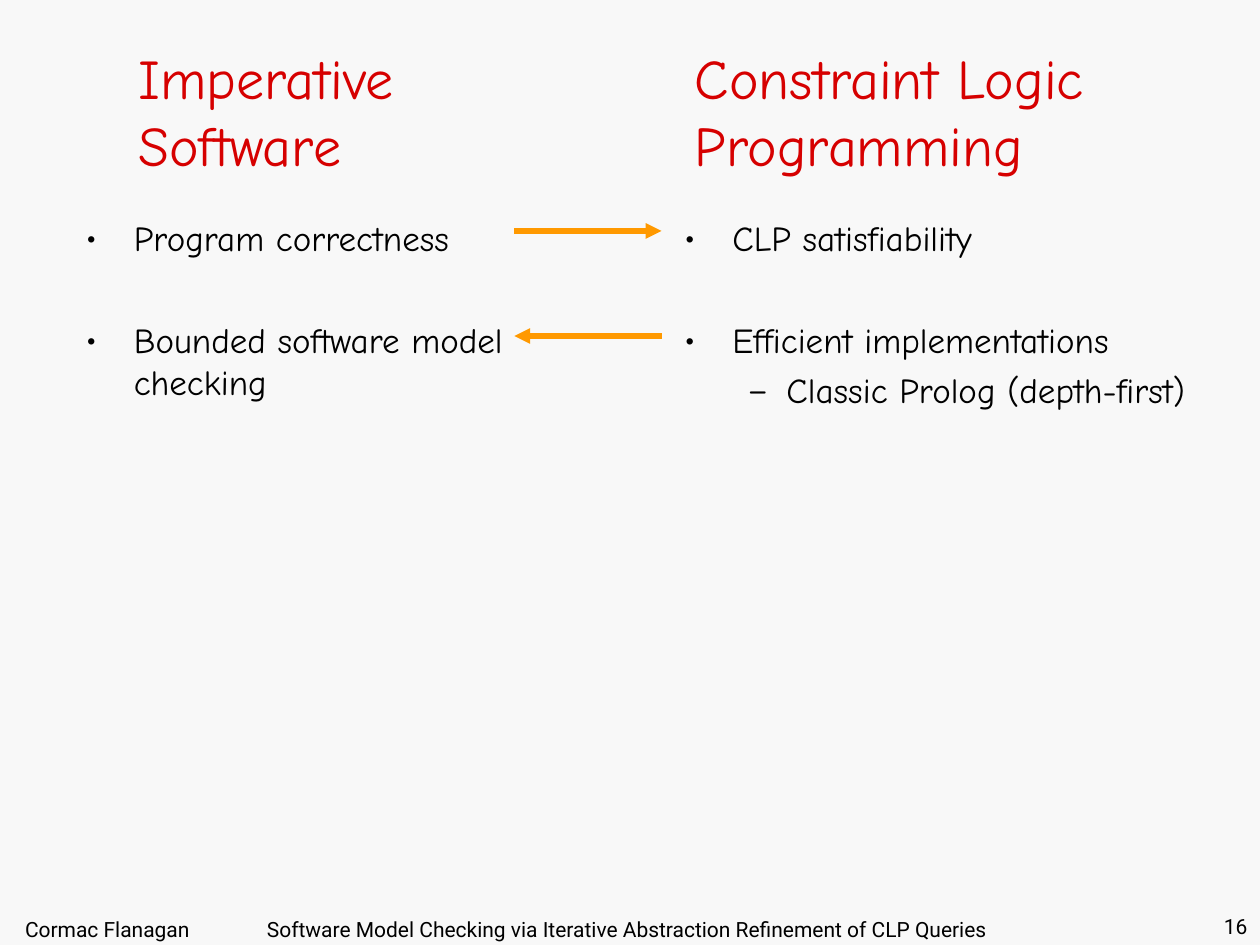
"""Build a slide pairing imperative software with constraint logic programming."""
from dataclasses import dataclass

from lxml.etree import SubElement
from pptx import Presentation
from pptx.dml.color import RGBColor
from pptx.enum.shapes import MSO_CONNECTOR as Connector
from pptx.enum.text import MSO_ANCHOR as Anchor, PP_ALIGN as Align
from pptx.oxml.ns import qn
from pptx.util import Inches, Pt


@dataclass(frozen=True)
class Theme:
    """Colours, fonts and type sizes of the slide."""
    background: str = "F8F8F8"
    ink: str = "000000"
    heading: str = "D60000"
    arrow: str = "FF9900"
    text_font: str = "Comic Neue"
    footer_font: str = "Roboto"
    heading_size: int = 32
    body_size: int = 20
    footer_size: int = 12
    arrow_width: int = 3


def write(paragraph, text, *, font, size, color, align=None):
    """Add one formatted run to a paragraph."""
    run = paragraph.add_run()
    run.text = text
    run.font.name, run.font.size = font, Pt(size)
    run.font.color.rgb = RGBColor.from_string(color)
    paragraph.alignment = align


class SlideBuilder:
    """Places styled elements on a grid of 12 columns and 9 rows."""
    COLUMNS, ROWS = 12, 9
    BULLETS = (("•", 0.38, 0.38), ("–", 0.81, 0.31))

    def __init__(self, theme):
        """Open a presentation with one blank slide."""
        self.theme = theme
        self.presentation = Presentation()
        self.presentation.slide_width = Inches(10)
        self.presentation.slide_height = Inches(7.5)
        self.slide = self.presentation.slides.add_slide(self.presentation.slide_layouts[6])
        fill = self.slide.background.fill
        fill.solid()
        fill.fore_color.rgb = RGBColor.from_string(theme.background)

    def place(self, column, row):
        """Turn grid columns and rows into slide lengths."""
        return (round(self.presentation.slide_width * column / self.COLUMNS),
                round(self.presentation.slide_height * row / self.ROWS))

    def box(self, column, row, columns, rows, anchor=Anchor.TOP):
        """Add a wrapping text box and return its text frame."""
        shape = self.slide.shapes.add_textbox(*self.place(column, row), *self.place(columns, rows))
        frame = shape.text_frame
        frame.word_wrap = True
        frame.vertical_anchor = anchor
        return frame

    def heading(self, column, lines):
        """Add a column heading, one paragraph a line."""
        frame = self.box(column, 0.3, 5.3, 1.5, Anchor.MIDDLE)
        for index, line in enumerate(lines):
            paragraph = frame.add_paragraph() if index else frame.paragraphs[0]
            write(paragraph, line, font=self.theme.text_font,
                  size=self.theme.heading_size, color=self.theme.heading)

    def bullets(self, column, row, columns, items):
        """Add a bulleted list; each item lies one level below the last."""
        frame = self.box(column, row, columns, 1.2)
        for level, item in enumerate(items):
            paragraph = frame.add_paragraph() if level else frame.paragraphs[0]
            symbol, margin, hanging = self.BULLETS[level]
            properties = paragraph._p.get_or_add_pPr()
            properties.set("marL", str(Inches(margin)))
            properties.set("indent", str(-Inches(hanging)))
            color = SubElement(properties, qn("a:buClr"))
            SubElement(color, qn("a:srgbClr"), val=self.theme.ink)
            SubElement(properties, qn("a:buFont"), typeface=self.theme.text_font)
            SubElement(properties, qn("a:buChar"), char=symbol)
            paragraph.level = level
            if level:
                paragraph.space_before = Pt(5)
            write(paragraph, item, font=self.theme.text_font,
                  size=self.theme.body_size, color=self.theme.ink)

    def arrow(self, start, end, row):
        """Add a horizontal arrow between two columns."""
        line = self.slide.shapes.add_connector(
            Connector.STRAIGHT, *self.place(start, row), *self.place(end, row))
        line.line.color.rgb = RGBColor.from_string(self.theme.arrow)
        line.line.width = Pt(self.theme.arrow_width)
        SubElement(line.line._get_or_add_ln(), qn("a:tailEnd"), type="triangle")
        SubElement(line._element.spPr, qn("a:effectLst"))

    def footer(self, column, row, columns, text, align=Align.LEFT, tab=None):
        """Add a line of footer text, with an optional tab stop in inches."""
        paragraph = self.box(column, row, columns, 0.36).paragraphs[0]
        if tab:
            stops = SubElement(paragraph._p.get_or_add_pPr(), qn("a:tabLst"))
            SubElement(stops, qn("a:tab"), pos=str(Inches(tab)), algn="l")
        write(paragraph, text, font=self.theme.footer_font,
              size=self.theme.footer_size, color=self.theme.ink, align=align)


def main():
    """Build and save the slide."""
    builder = SlideBuilder(Theme())
    builder.heading(1.2, ["Imperative", "Software"])
    builder.heading(6.5, ["Constraint Logic", "Programming"])

    pairs = [
        (2, ["Program correctness"], ["CLP satisfiability"], (4.9, 6.3)),
        (2.97, ["Bounded software model checking"],
         ["Efficient implementations", "Classic Prolog (depth-first)"], (6.3, 4.9)),
    ]
    for index, (row, software, logic, ends) in enumerate(pairs):
        builder.bullets(0.7, row, 4.4, software)
        builder.bullets(6.4, row, 5.6, logic)
        builder.arrow(*ends, 2.2 + index)

    builder.footer(0.12, 8.67, 9.9, "Cormac Flanagan\tSoftware Model Checking via "
                   "Iterative Abstraction Refinement of CLP Queries", tab=1.92)
    builder.footer(9.5, 8.64, 2.5, "16", align=Align.RIGHT)
    builder.presentation.save("out.pptx")


if __name__ == "__main__":
    main()
